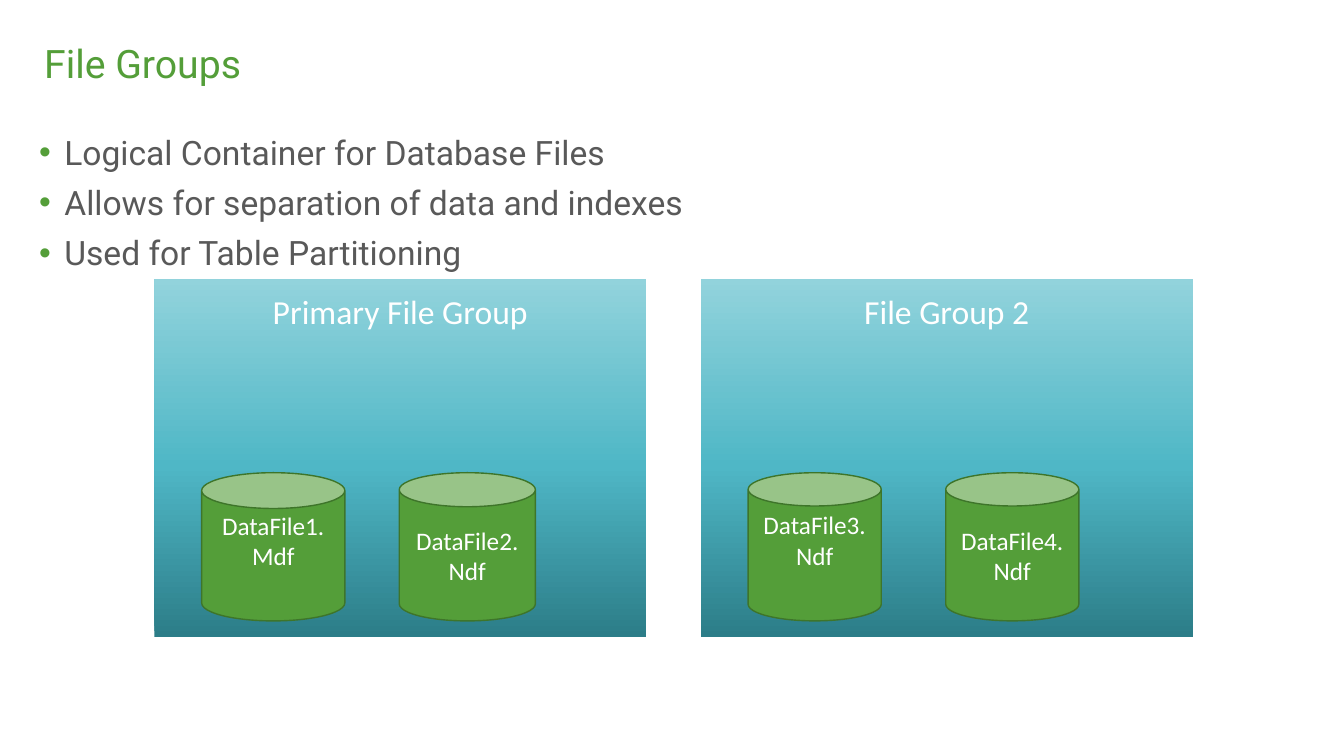
from copy import deepcopy

from pptx import Presentation
from pptx.dml.color import RGBColor
from pptx.enum.shapes import MSO_SHAPE
from pptx.enum.text import MSO_ANCHOR, PP_ALIGN
from pptx.oxml.ns import qn
from pptx.util import Inches, Pt
from lxml import etree

GREEN = RGBColor(0x54, 0x9E, 0x39)
EDGE = RGBColor(0x3E, 0x75, 0x2A)
GRAY = RGBColor(0x59, 0x59, 0x59)
WHITE = RGBColor(0xFF, 0xFF, 0xFF)
TEALS = [
    (0, RGBColor(0x2C, 0x7D, 0x88)),
    (0.48, RGBColor(0x4F, 0xB7, 0xC6)),
    (1, RGBColor(0x92, 0xD3, 0xDC)),
]
PROCESS, CAN = MSO_SHAPE.FLOWCHART_PROCESS, MSO_SHAPE.CAN
TOP, MIDDLE = MSO_ANCHOR.TOP, MSO_ANCHOR.MIDDLE
LEFT, CENTER = PP_ALIGN.LEFT, PP_ALIGN.CENTER

BULLETS = [
    "Logical Container for Database Files",
    "Allows for separation of data and indexes",
    "Used for Table Partitioning",
]
# Group name, left edge, and its cans: label, left, width, raised label
GROUPS = [
    ("Primary File Group", 1.53, [
        ("DataFile1.Mdf", 2, 1.42, True),
        ("DataFile2.Ndf", 3.96, 1.35, False),
    ]),
    ("File Group 2", 6.95, [
        ("DataFile3.Ndf", 7.42, 1.32, True),
        ("DataFile4.Ndf", 9.38, 1.32, False),
    ]),
]


def style(para, font, size, color, align=LEFT, spacing=0.9):
    para.alignment = align
    para.line_spacing = spacing
    para.font.name = font
    para.font.size = Pt(size)
    para.font.color.rgb = color


def add_bullet(para):
    props = para._p.get_or_add_pPr()
    props.set("marL", str(Inches(0.25)))
    props.set("indent", str(Inches(-0.25)))
    tint = etree.SubElement(props, qn("a:buClr"))
    etree.SubElement(tint, qn("a:srgbClr"), val=str(GREEN))
    etree.SubElement(props, qn("a:buFont"), typeface="Arial")
    etree.SubElement(props, qn("a:buChar"), char="•")


def add_text(slide, box, lines, size, color, anchor=TOP, bullets=False):
    frame = slide.shapes.add_textbox(*map(Inches, box)).text_frame
    frame.word_wrap = True
    frame.vertical_anchor = anchor
    frame.text = "\n".join(lines)
    for i, para in enumerate(frame.paragraphs):
        if bullets:
            add_bullet(para)
        style(para, "Roboto", size, color)
        para.space_before = Pt(10 if i else 0)


def add_block(slide, kind, box, label, size, anchor, spacing):
    shape = slide.shapes.add_shape(kind, *map(Inches, box))
    shape.shadow.inherit = False
    frame = shape.text_frame
    frame.word_wrap = True
    frame.vertical_anchor = anchor
    frame.text = label
    style(frame.paragraphs[0], "Calibri", size, WHITE, CENTER, spacing)
    return shape


def fill_teal(shape):
    fill = shape.fill
    fill.gradient()
    fill.gradient_angle = 90
    stops = shape._element.spPr.find(".//" + qn("a:gsLst"))
    stops.append(deepcopy(stops[0]))
    for stop, (pos, color) in zip(fill.gradient_stops, TEALS):
        stop.position = pos
        stop.color.rgb = color


def add_group(slide, name, left):
    box = (left, 2.77, 4.88, 3.55)
    shape = add_block(slide, PROCESS, box, name, 24, TOP, 0.9)
    fill_teal(shape)
    shape.line.fill.background()
    frame = shape.text_frame
    frame.margin_left = frame.margin_right = Inches(0.2)
    frame.margin_top = frame.margin_bottom = Inches(0.16)


def add_can(slide, label, left, width, raised):
    box = (left, 4.69, width, 1.47)
    shape = add_block(slide, CAN, box, label, 18, MIDDLE, 1.0)
    shape.fill.solid()
    shape.fill.fore_color.rgb = GREEN
    shape.line.color.rgb = EDGE
    shape.line.width = Pt(1)
    if raised:
        shape.text_frame.margin_bottom = Inches(0.35)


def main():
    deck = Presentation()
    deck.slide_width, deck.slide_height = Inches(13.33), Inches(7.5)
    slide = deck.slides.add_slide(deck.slide_layouts[6])
    add_text(slide, (0.34, 0.25, 11.5, 0.8), ["File Groups"], 28, GREEN, MIDDLE)
    add_text(slide, (0.29, 1.3, 12.74, 1.47), BULLETS, 24, GRAY, bullets=True)
    for name, left, cans in GROUPS:
        add_group(slide, name, left)
        for can in cans:
            add_can(slide, *can)
    deck.save("out.pptx")


if __name__ == "__main__":
    main()
